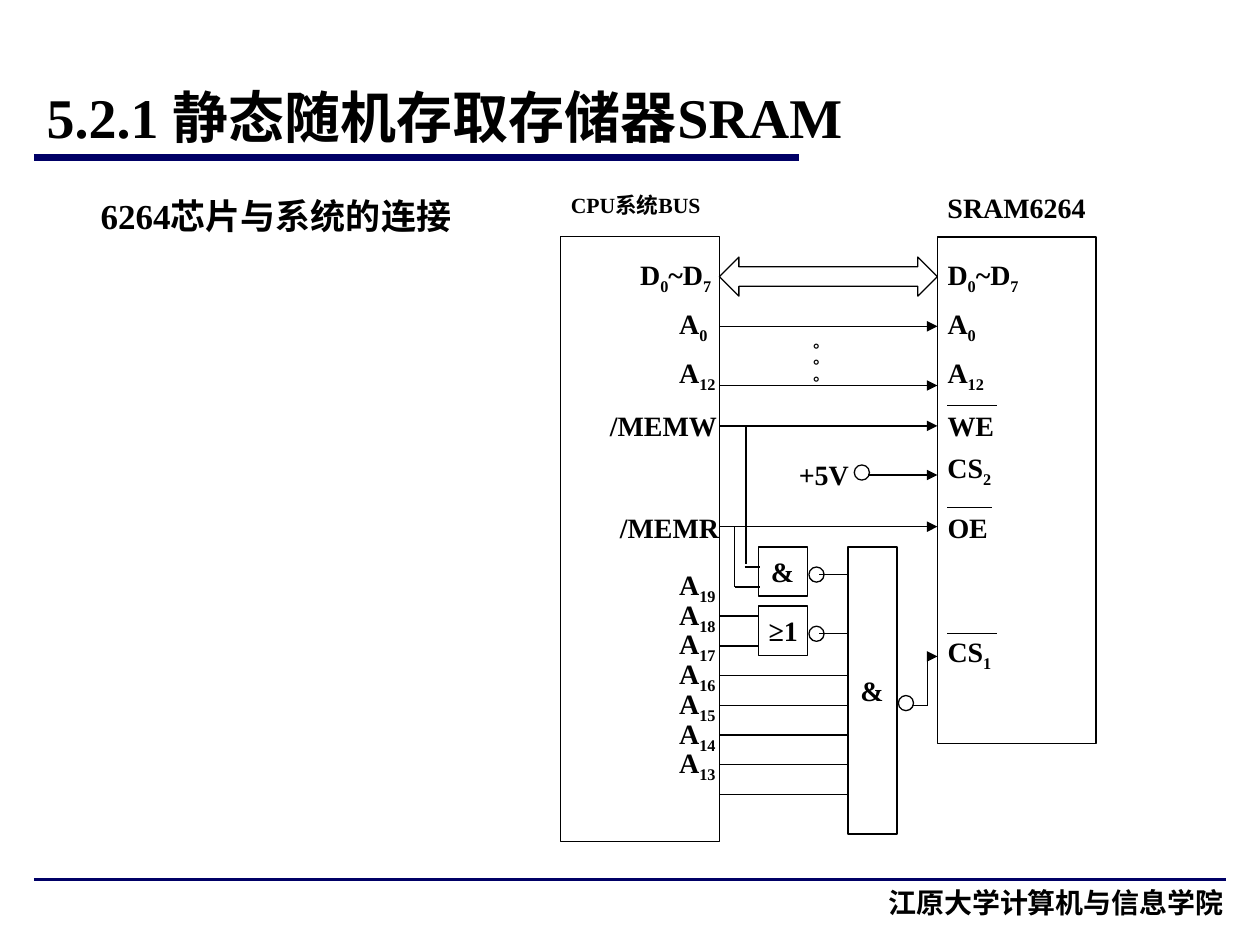
import pptx
import pptx.dml.color
import pptx.enum.shapes
import pptx.enum.text
import pptx.oxml
import pptx.oxml.ns
import pptx.util
from pptx.util import Inches

COLORS = {"ink": "000000", "rule": "000066"}
LATIN, CHINESE = "Times New Roman", "Noto Sans CJK SC"
ALIGN = pptx.enum.text.PP_ALIGN
ANCHOR = pptx.enum.text.MSO_ANCHOR
SHAPE = pptx.enum.shapes.MSO_SHAPE

BUS_EDGE, CHIP_EDGE, GATE_EDGE = 5.71, 7.44, 6.73
BUS_LABEL, CHIP_LABEL = 5.39, 7.52
ROW_STEP = 0.236


def rgb(name):
    return pptx.dml.color.RGBColor.from_string(COLORS[name])


def append_xml(parent, tag, **attributes):
    element = pptx.oxml.parse_xml(f"<a:{tag} {pptx.oxml.ns.nsdecls('a')}/>")
    for key, value in attributes.items():
        element.set(key, value)
    parent.append(element)


def write_text(shape, text, size=16, font=LATIN, align=ALIGN.LEFT,
               anchor=ANCHOR.MIDDLE, insets=(0, 0, 0, 0), spacing=None,
               before=None, vertical=False):
    """Write one paragraph; every second part between bars is a subscript."""
    frame = shape.text_frame
    frame.word_wrap = True
    frame.auto_size = pptx.enum.text.MSO_AUTO_SIZE.NONE
    frame.vertical_anchor = anchor
    (frame.margin_left, frame.margin_top,
     frame.margin_right, frame.margin_bottom) = map(Inches, insets)
    if vertical:
        frame._txBody.bodyPr.set("vert", "eaVert")
    paragraph = frame.paragraphs[0]
    paragraph.alignment = align
    if spacing:
        paragraph.line_spacing = spacing
    if before:
        paragraph.space_before = pptx.util.Pt(before)
    for index, part in enumerate(text.split("|")):
        if not part:
            continue
        run = paragraph.add_run()
        run.text = part
        run.font.size = pptx.util.Pt(size)
        run.font.bold = True
        run.font.name = font
        run.font.color.rgb = rgb("ink")
        properties = run.font._element
        append_xml(properties, "ea", typeface=CHINESE)
        if index % 2:
            properties.set("baseline", "-25000")


def add_label(slide, text, left, top, width, height=0.31, **text_format):
    box = slide.shapes.add_textbox(*map(Inches, (left, top, width, height)))
    write_text(box, text, **text_format)


def add_line(slide, x1, y1, x2, y2, color="ink", width=0.75, arrow=False):
    line = slide.shapes.add_connector(
        pptx.enum.shapes.MSO_CONNECTOR.STRAIGHT, *map(Inches, (x1, y1, x2, y2)))
    line.line.color.rgb = rgb(color)
    line.line.width = pptx.util.Pt(width)
    if arrow:
        append_xml(line.line._get_or_add_ln(), "tailEnd", type="triangle")
    append_xml(line._element.spPr, "effectLst")


def add_outline(slide, kind, left, top, width, height, text=None, **text_format):
    shape = slide.shapes.add_shape(kind, *map(Inches, (left, top, width, height)))
    shape.shadow.inherit = False
    shape.fill.background()
    shape.line.color.rgb = rgb("ink")
    shape.line.width = pptx.util.Pt(0.75)
    if text:
        write_text(shape, text, **text_format)
    return shape


def add_heading(slide):
    title = slide.shapes.title
    title.left, title.top, title.width, title.height = map(
        Inches, (0.27, 0.52, 8.74, 0.8))
    padding = (0.1, 0.05, 0.1, 0.05)
    write_text(title, "5.2.1 静态随机存取存储器SRAM", size=32,
               align=ALIGN.JUSTIFY, insets=padding)
    add_line(slide, 0.27, 1.25, 6.34, 1.25, color="rule", width=4)
    add_line(slide, 0.27, 6.98, 9.73, 6.98, color="rule", width=2)
    add_label(slide, "江原大学计算机与信息学院", 5.71, 6.98, 4.1, 0.52,
              font=CHINESE, align=ALIGN.RIGHT, anchor=ANCHOR.TOP, insets=padding)
    add_label(slide, "6264芯片与系统的连接", 0.7, 1.46, 3.07, 0.47, size=20,
              anchor=ANCHOR.TOP, insets=padding, spacing=1.1, before=5)


def add_chips(slide):
    add_outline(slide, SHAPE.RECTANGLE, 4.45, 1.88, 1.26, 4.8)
    add_outline(slide, SHAPE.RECTANGLE, CHIP_EDGE, 1.88, 1.26, 4.02)
    add_label(slide, "CPU系统BUS", 4.53, 1.49, 1.18, size=12.4, spacing=0.8)
    add_label(slide, "SRAM6264", CHIP_LABEL, 1.49, 1.1)

    # Pins of the bus and of the memory
    for text, bus_left, top in (("D|0|~D|7", 5.08, 2.04), ("A|0", BUS_LABEL, 2.43),
                                ("A|12", BUS_LABEL, 2.82)):
        add_label(slide, text, bus_left, top, 0.79)
        add_label(slide, text, CHIP_LABEL, top, 0.79)
    add_label(slide, "/MEMW", 4.84, 3.22, 1.02)
    add_label(slide, "/MEMR", 4.92, 4.03, 0.95)
    add_label(slide, "CS|2", CHIP_LABEL, 3.53, 0.63, 0.39)

    # Active-low pins carry an overline
    for text, top, bar in (("WE", 3.22, 0.39), ("OE", 4.03, 0.35),
                           ("CS|1", 5.03, 0.39)):
        add_label(slide, text, CHIP_LABEL, top, 0.55)
        add_line(slide, CHIP_LABEL, top, CHIP_LABEL + bar, top)


def add_direct_signals(slide):
    data_bus = add_outline(slide, SHAPE.LEFT_RIGHT_ARROW,
                           BUS_EDGE, 2.04, CHIP_EDGE - BUS_EDGE, 0.31)
    data_bus.adjustments[0] = data_bus.adjustments[1] = 0.5
    for y in (2.59, 3.06, 3.38, 4.18):
        add_line(slide, BUS_EDGE, y, CHIP_EDGE, y, arrow=True)
    add_label(slide, "|。。。", 6.26, 2.67, 0.39, 0.39, vertical=True)
    add_label(slide, "+5V", 6.34, 3.61, 0.47)
    add_line(slide, 6.89, 3.77, CHIP_EDGE, 3.77, arrow=True)


def add_decoder(slide):
    # High address lines A19 to A13
    for row in range(7):
        add_label(slide, f"A|{19 - row}", BUS_LABEL, 4.5 + row * ROW_STEP, 0.31)
        y = 4.89 + row * ROW_STEP
        add_line(slide, BUS_EDGE, y, 6.02 if row < 2 else GATE_EDGE, y)

    # Gates
    and_insets = (0.1, 0.05, 0.1, 0.05)
    for text, left, top, height, insets in (
            ("&", 6.02, 4.34, 0.39, and_insets),
            ("≥1", 6.02, 4.81, 0.39, (0.08, 0, 0, 0)),
            ("&", GATE_EDGE, 4.34, 2.28, and_insets)):
        add_outline(slide, SHAPE.RECTANGLE, left, top, 0.39, height, text,
                    insets=insets)

    # Inverter bubbles and the +5V terminal
    for left, top in ((6.42, 4.5), (6.42, 4.97), (7.13, 5.52), (6.78, 3.69)):
        add_outline(slide, SHAPE.OVAL, left, top, 0.12, 0.12)

    # Wires of the gates
    for x1, y1, x2, y2 in (
            (5.92, 3.38, 5.92, 4.48), (5.91, 4.5, 6.03, 4.5),
            (5.83, 4.18, 5.83, 4.66), (5.83, 4.66, 6.03, 4.66),
            (6.5, 4.56, GATE_EDGE, 4.56), (6.5, 5.03, GATE_EDGE, 5.03),
            (7.24, 5.6, 7.36, 5.6), (7.36, 5.21, 7.36, 5.6)):
        add_line(slide, x1, y1, x2, y2)
    add_line(slide, 7.36, 5.21, CHIP_EDGE, 5.21, arrow=True)


def main():
    presentation = pptx.Presentation()
    presentation.slide_width, presentation.slide_height = Inches(10), Inches(7.5)
    slide = presentation.slides.add_slide(presentation.slide_layouts[5])
    add_heading(slide)
    add_chips(slide)
    add_direct_signals(slide)
    add_decoder(slide)
    presentation.save("out.pptx")


if __name__ == "__main__":
    main()
